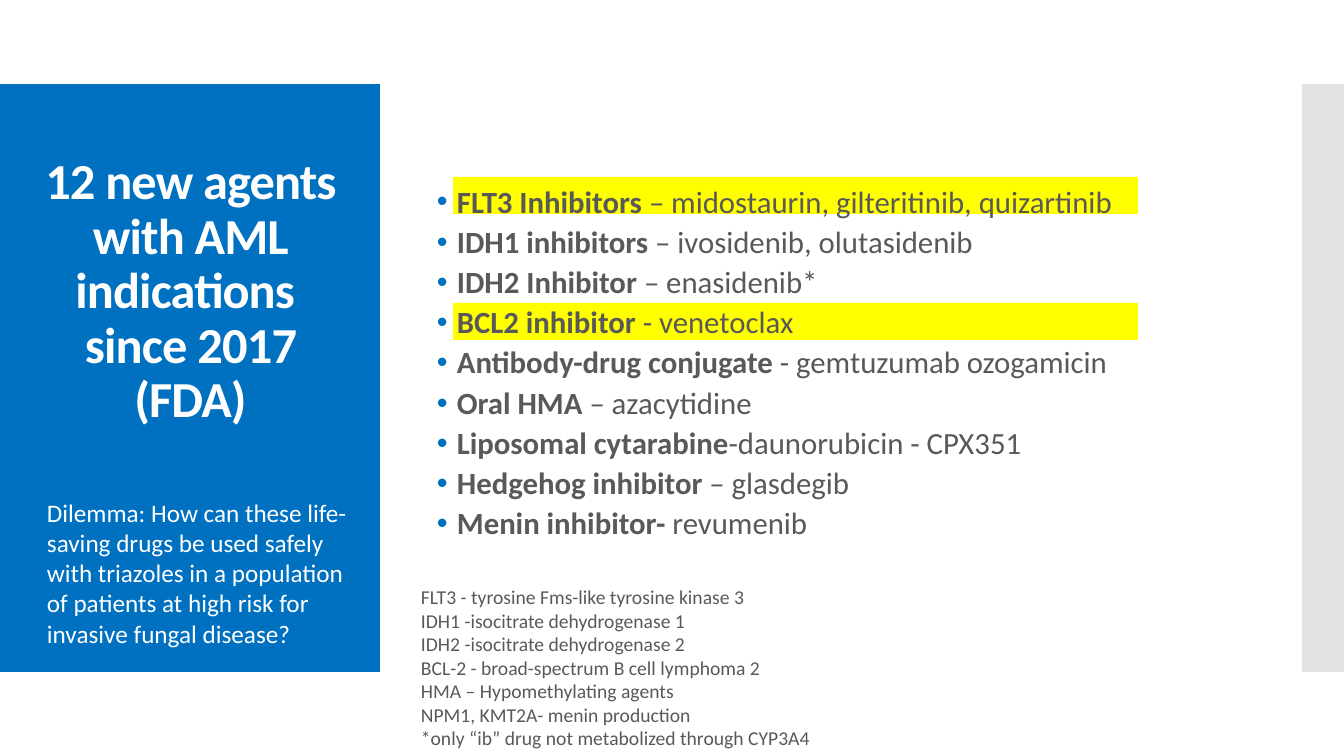
from lxml.etree import SubElement
from pptx import Presentation
from pptx.dml.color import RGBColor
from pptx.enum.shapes import MSO_SHAPE
from pptx.enum.text import MSO_ANCHOR, MSO_AUTO_SIZE, PP_ALIGN
from pptx.oxml.ns import qn
from pptx.util import Pt

COLORS = {"blue": "0070C0", "grey": "C8C8C8", "yellow": "FFFF00",
          "text": "595959", "white": "FFFFFF"}
TITLE = "12 new agents with AML indications \vsince 2017 (FDA)"
DILEMMA = ("Dilemma: How can these life-saving drugs be used safely with triazoles "
           "in a population of patients at high risk for invasive fungal disease?")
AGENTS = [
    ("FLT3 Inhibitors ", "– midostaurin, gilteritinib, quizartinib"),
    ("IDH1 inhibitors ", "– ivosidenib, olutasidenib"),
    ("IDH2 Inhibitor ", "– enasidenib*"),
    ("BCL2 inhibitor ", "- venetoclax"),
    ("Antibody-drug conjugate ", "- gemtuzumab ozogamicin"),
    ("Oral HMA ", "– azacytidine"),
    ("Liposomal cytarabine", "-daunorubicin - CPX351"),
    ("Hedgehog inhibitor ", "– glasdegib"),
    ("Menin inhibitor- ", "revumenib"),
]
FOOTNOTES = [
    "FLT3 - tyrosine Fms-like tyrosine kinase 3",
    "IDH1 -isocitrate dehydrogenase 1",
    "IDH2 -isocitrate dehydrogenase 2",
    "BCL-2 - broad-spectrum B cell lymphoma 2",
    "HMA – Hypomethylating agents",
    "NPM1, KMT2A- menin production",
    "*only “ib” drug not metabolized through CYP3A4",
]
# left, top, width, height in px
RECTANGLES = [
    ((0, 84, 380, 588), "blue"),
    ((1302, 84, 42, 588), "grey"),
    ((453, 303, 685, 37), "yellow"),
    ((453, 177, 685, 37), "yellow"),
]
TITLE_BOX = (28, 124, 325, 391)
DILEMMA_BOX = (37, 492, 325, 163)
AGENTS_BOX = (371, 124, 1159, 480)
FOOTNOTES_BOX = (411, 580, 768, 201)
TITLE_BOTTOM_MARGIN = 59
BULLET_MARGIN, BULLET_INDENT = 76, -20


def emu(px):
    return round(px * 914400 / 100.8)


def set_format(target, values):
    for name, value in values.items():
        setattr(target, name, value)


def add_rectangle(slide, box, color):
    shape = slide.shapes.add_shape(MSO_SHAPE.RECTANGLE, *map(emu, box))
    shape.shadow.inherit = False
    shape.line.fill.background()
    shape.fill.solid()
    shape.fill.fore_color.rgb = RGBColor.from_string(COLORS[color])
    return shape


def add_text(slide, box, lines, size, color, frame_format, paragraph_format=None):
    """Add a text box; each line is a list of (text, bold) runs."""
    frame = slide.shapes.add_textbox(*map(emu, box)).text_frame
    set_format(frame, {"word_wrap": True, **frame_format})
    for number, runs in enumerate(lines):
        paragraph = frame.add_paragraph() if number else frame.paragraphs[0]
        set_format(paragraph, paragraph_format or {})
        for part, bold in runs:
            for index, piece in enumerate(part.split("\v")):
                if index:
                    paragraph.add_line_break()
                run = paragraph.add_run()
                run.text = piece
                set_format(run.font, {"name": "Calibri", "size": Pt(size), "bold": bold})
                run.font.color.rgb = RGBColor.from_string(COLORS[color])
    return frame


def add_bullet(paragraph):
    properties = paragraph._p.get_or_add_pPr()
    properties.set("marL", str(emu(BULLET_MARGIN)))
    properties.set("indent", str(emu(BULLET_INDENT)))
    color = SubElement(properties, qn("a:buClr"))
    SubElement(color, qn("a:srgbClr"), val=COLORS["blue"])
    SubElement(properties, qn("a:buFont"), typeface="Arial")
    SubElement(properties, qn("a:buChar"), char="•")


def main():
    presentation = Presentation()
    set_format(presentation, {"slide_width": emu(1344), "slide_height": emu(756)})
    slide = presentation.slides.add_slide(presentation.slide_layouts[6])

    for box, color in RECTANGLES:
        shape = add_rectangle(slide, box, color)
        if color == "grey":
            fill_color = shape._element.spPr.find(".//" + qn("a:srgbClr"))
            SubElement(fill_color, qn("a:alpha"), val="50000")

    middle = {"vertical_anchor": MSO_ANCHOR.MIDDLE}
    grow = {"auto_size": MSO_AUTO_SIZE.SHAPE_TO_FIT_TEXT}

    agents = add_text(slide, AGENTS_BOX,
                      [[(group, True), (drugs, False)] for group, drugs in AGENTS],
                      22, "text", middle,
                      {"line_spacing": 0.9, "space_before": Pt(2.5), "space_after": Pt(2.5)})
    agents.paragraphs[0].space_before = Pt(0)
    for paragraph in agents.paragraphs:
        add_bullet(paragraph)

    add_text(slide, FOOTNOTES_BOX, [[(note, False)] for note in FOOTNOTES],
             14, "text", grow)

    title = add_text(slide, TITLE_BOX, [[(TITLE, True)]], 36, "white",
                     {**middle, "margin_bottom": emu(TITLE_BOTTOM_MARGIN)},
                     {"alignment": PP_ALIGN.CENTER, "line_spacing": 0.9})
    for run in title.paragraphs[0].runs:
        run._r.get_or_add_rPr().set("spc", "-60")

    add_text(slide, DILEMMA_BOX, [[(DILEMMA, False)]], 18, "white", grow)
    presentation.save("out.pptx")


if __name__ == "__main__":
    main()
